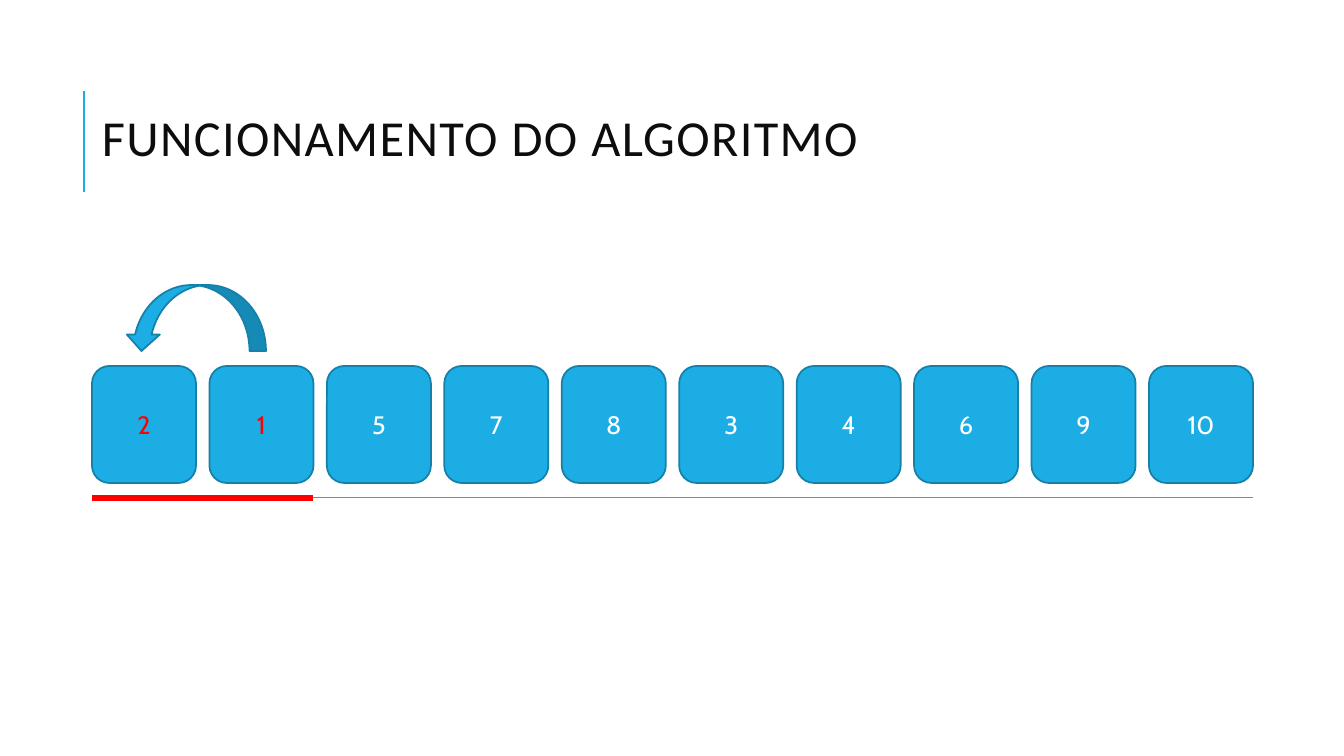
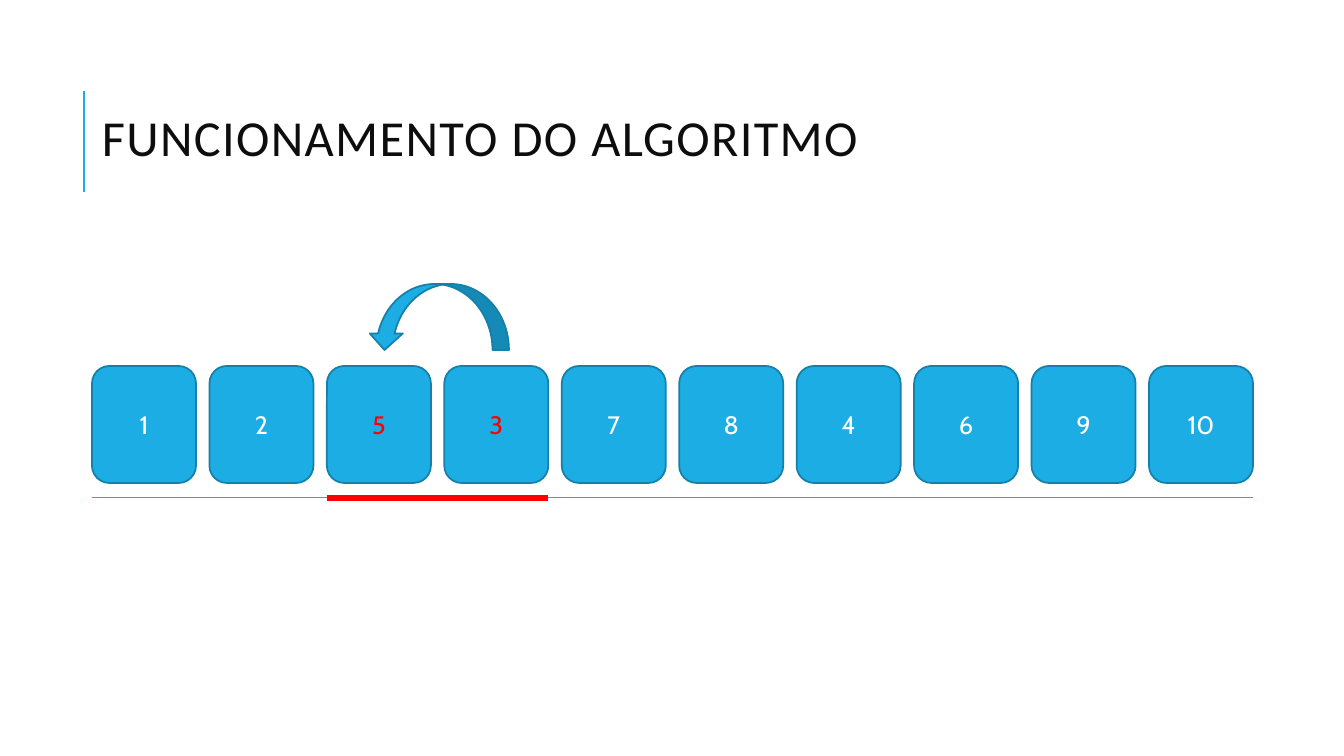
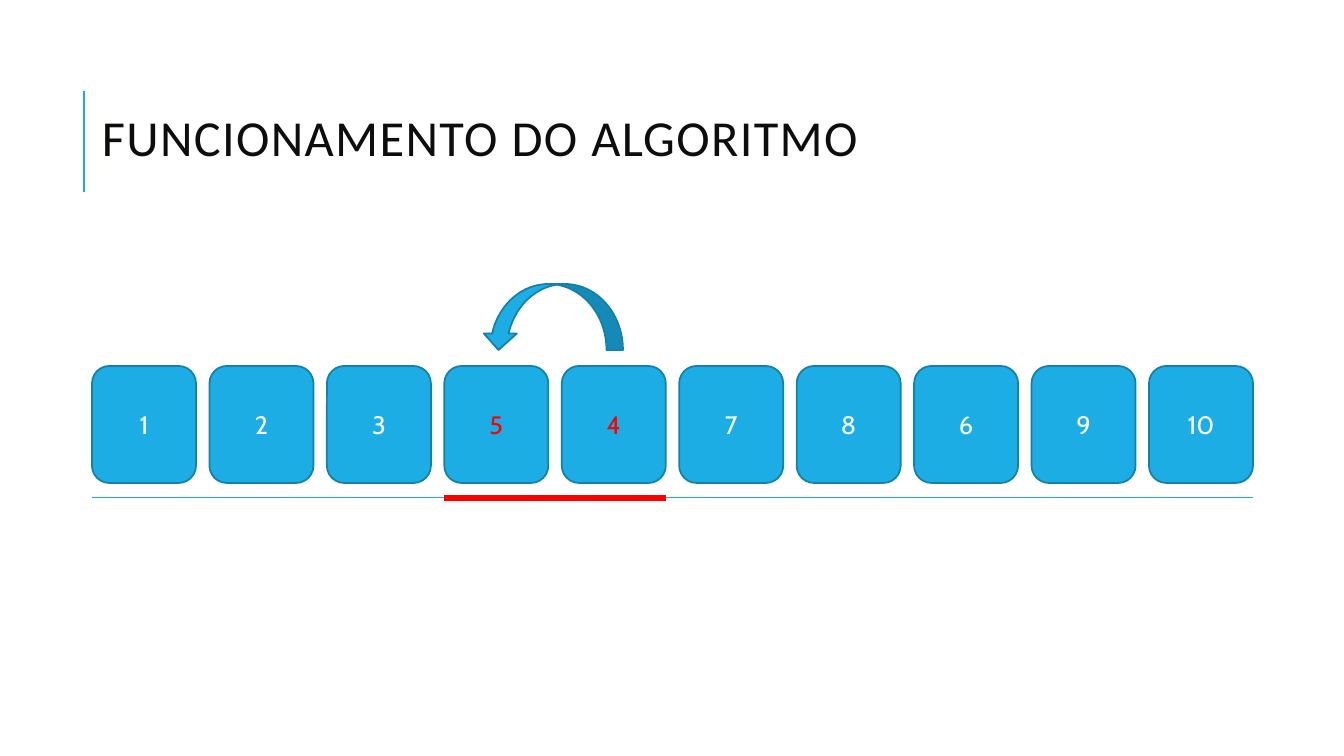
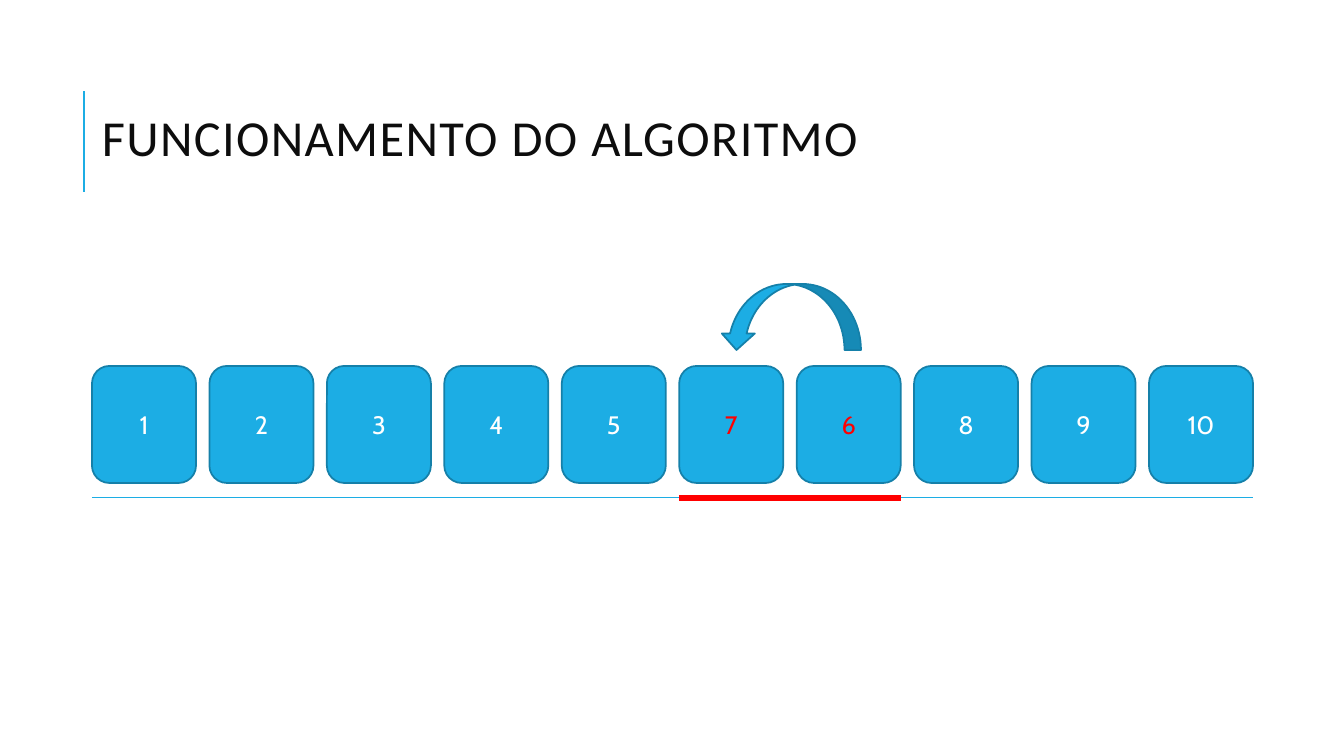
from lxml import etree
from pptx import Presentation
from pptx.dml.color import RGBColor
from pptx.enum.shapes import MSO_CONNECTOR, MSO_SHAPE
from pptx.enum.text import MSO_ANCHOR, PP_ALIGN
from pptx.oxml.ns import qn
from pptx.util import Pt

STRAIGHT = MSO_CONNECTOR.STRAIGHT
ROUNDED = MSO_SHAPE.ROUNDED_RECTANGLE
CURVED_ARROW = MSO_SHAPE.CURVED_DOWN_ARROW
MIDDLE = MSO_ANCHOR.MIDDLE
CENTER = PP_ALIGN.CENTER

PAGE_WIDTH, PAGE_HEIGHT = 1344, 756
SCALE = 12192000 / PAGE_WIDTH
BLANK_LAYOUT = 6

BLUE = "1CADE4"
DARK_BLUE = "1580A9"
RED = "FF0000"
WHITE = "FFFFFF"
INK = "0D0D0D"

TITLE = "FUNCIONAMENTO DO ALGORITMO"
TITLE_FONT = "Calibri"
CELL_FONT = "Cabin"

ROW_LEFT, ROW_RIGHT, ROW_TOP = 92, 1253, 366
CELL_COUNT = 10
CELL_WIDTH, CELL_HEIGHT = 104, 117
CELL_PITCH = (ROW_RIGHT - ROW_LEFT - CELL_WIDTH) / (CELL_COUNT - 1)
BASELINE = 498
ARROW_WIDTH, ARROW_HEIGHT = 141, 66

# numbers, index of the first swapped cell, arrow left, arrow top
STEPS = [
    ([2, 1, 5, 7, 8, 3, 4, 6, 9, 10], 0, 125, 285),
    ([1, 2, 5, 3, 7, 8, 4, 6, 9, 10], 2, 368, 284),
    ([1, 2, 3, 5, 4, 7, 8, 6, 9, 10], 3, 482, 284),
    ([1, 2, 3, 4, 5, 7, 6, 8, 9, 10], 5, 720, 284),
]


def px(*lengths):
    return [round(length * SCALE) for length in lengths]


def color(value):
    return RGBColor.from_string(value)


def cell_left(index):
    return ROW_LEFT + index * CELL_PITCH


def format_span(span, font, size, value):
    span.font.name = font
    span.font.size = Pt(size)
    span.font.color.rgb = color(value)


def add_line(page, start, end, value, width):
    line = page.shapes.add_connector(STRAIGHT, *px(*start, *end))
    line.line.color.rgb = color(value)
    line.line.width = Pt(width)
    etree.SubElement(line.element.spPr, qn("a:effectLst"))


def add_blue_shape(page, kind, left, top, width, height):
    shape = page.shapes.add_shape(kind, *px(left, top, width, height))
    shape.shadow.inherit = False
    shape.fill.solid()
    shape.fill.fore_color.rgb = color(BLUE)
    shape.line.color.rgb = color(DARK_BLUE)
    shape.line.width = Pt(1.25)
    return shape


def add_title(page):
    add_line(page, (84, 192), (84, 91), BLUE, 1.5)
    box = page.shapes.add_textbox(*px(92, 80, 1203, 125))
    frame = box.text_frame
    frame.word_wrap = True
    frame.vertical_anchor = MIDDLE
    frame.text = TITLE
    para = frame.paragraphs[0]
    para.line_spacing = 0.8
    span = para.runs[0]
    format_span(span, TITLE_FONT, 36, INK)
    span.font._element.set("spc", "100")


def add_cell(page, index, number, text_color):
    cell = add_blue_shape(page, ROUNDED, cell_left(index), ROW_TOP, CELL_WIDTH, CELL_HEIGHT)
    frame = cell.text_frame
    frame.vertical_anchor = MIDDLE
    frame.text = str(number)
    para = frame.paragraphs[0]
    para.alignment = CENTER
    para.space_after = Pt(6)
    format_span(para.runs[0], CELL_FONT, 18, text_color)


def add_swap_arrow(page, left, top):
    arrow = add_blue_shape(page, CURVED_ARROW, left, top, ARROW_WIDTH, ARROW_HEIGHT)
    arrow.element.spPr.find(qn("a:xfrm")).set("flipH", "1")


def add_step(deck, numbers, first, arrow_left, arrow_top):
    page = deck.slides.add_slide(deck.slide_layouts[BLANK_LAYOUT])
    add_title(page)
    add_line(page, (ROW_LEFT, BASELINE), (ROW_RIGHT, BASELINE), BLUE, 0.75)
    swapped = (first, first + 1)
    for index, number in enumerate(numbers):
        add_cell(page, index, number, RED if index in swapped else WHITE)
    swap_right = cell_left(first + 1) + CELL_WIDTH
    add_line(page, (cell_left(first), BASELINE), (swap_right, BASELINE), RED, 4.5)
    add_swap_arrow(page, arrow_left, arrow_top)


def main():
    deck = Presentation()
    deck.slide_width, deck.slide_height = px(PAGE_WIDTH, PAGE_HEIGHT)
    for step in STEPS:
        add_step(deck, *step)
    deck.save("out.pptx")


main()
